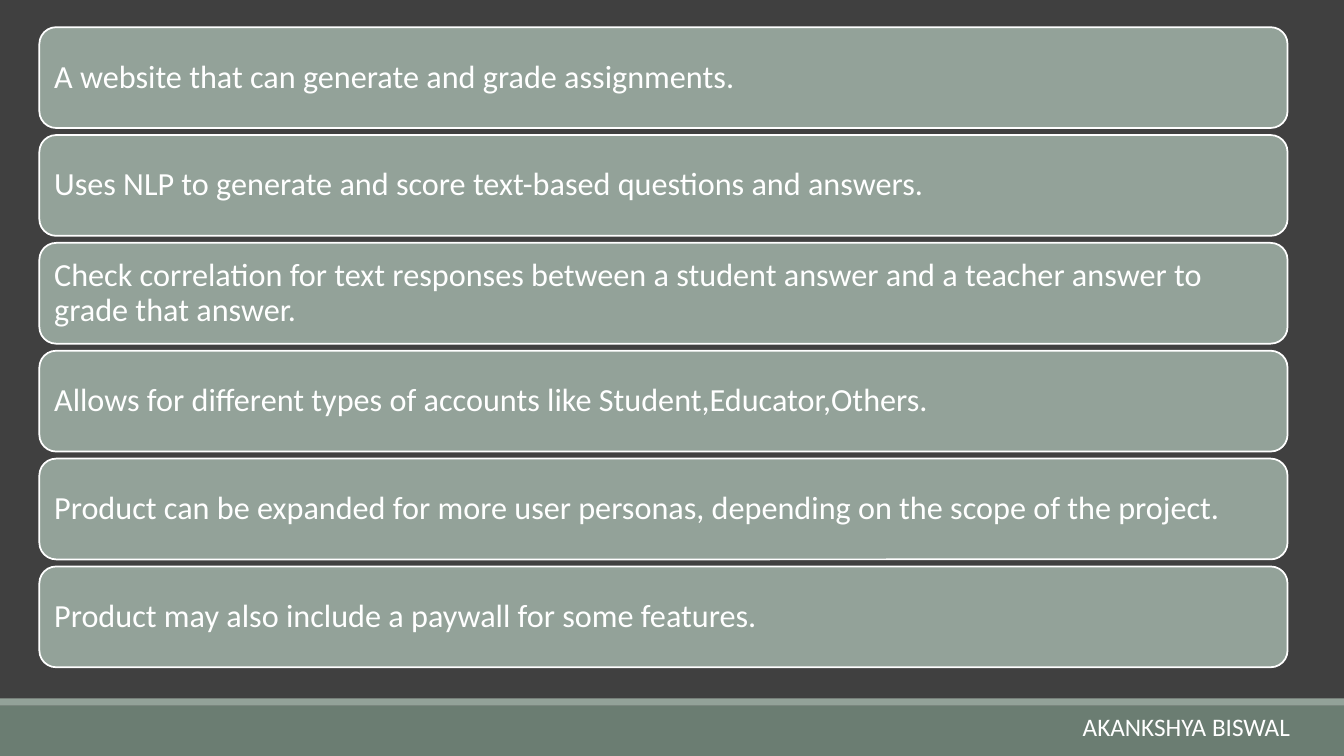
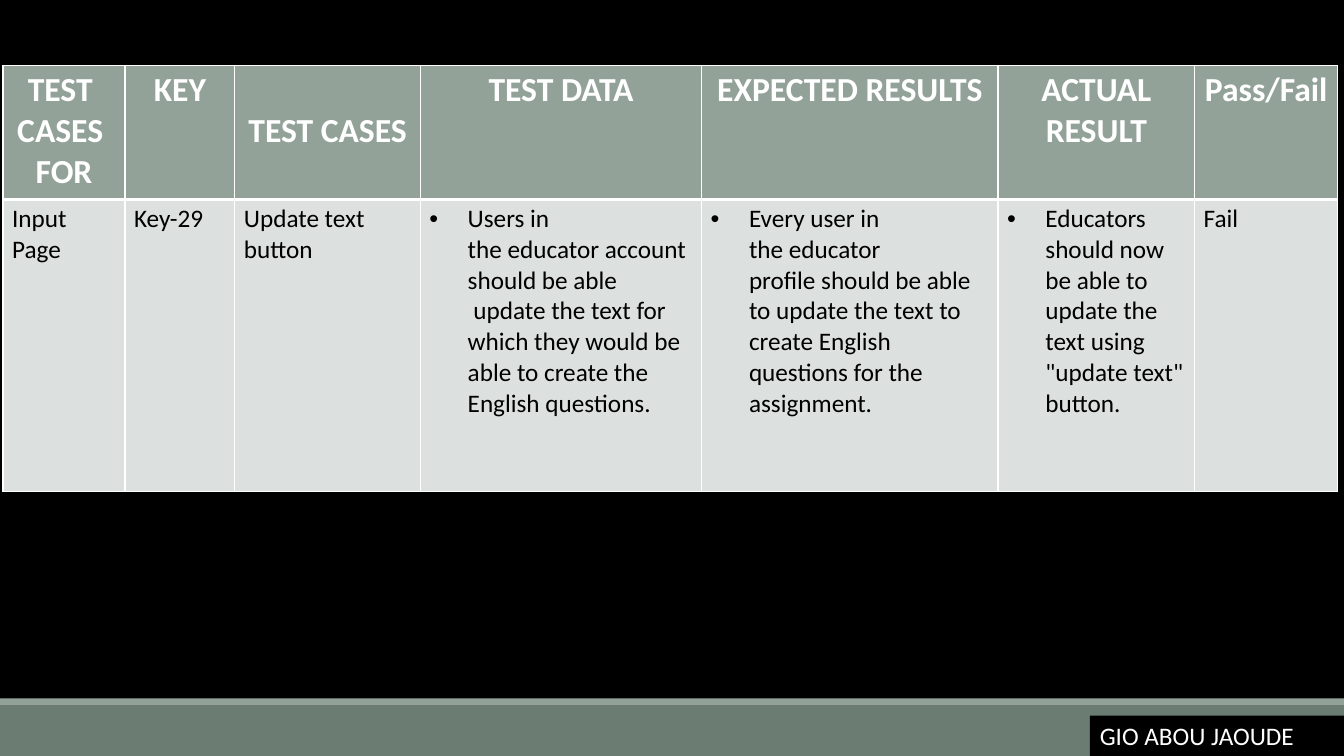
import pptx
import pptx.util
import pptx.dml.color
import pptx.enum.shapes
import pptx.enum.text
import pptx.oxml
import pptx.oxml.ns
from pptx.util import Inches

COLORS = {
    "charcoal": "404040",
    "black": "000000",
    "white": "FFFFFF",
    "band": "6B7D72",
    "sage": "93A299",
    "pale": "DCE0DE",
}
SHAPES = pptx.enum.shapes.MSO_SHAPE
ANCHOR = pptx.enum.text.MSO_ANCHOR
ALIGN = pptx.enum.text.PP_ALIGN
NAMESPACE = pptx.oxml.ns.nsdecls("a")
HARD_SPACE = chr(160)  # written as ~ in the table texts


def color(name):
    return pptx.dml.color.RGBColor.from_string(COLORS[name])


def style_text(para, size, color_name, bold=False, **paragraph_format):
    font_format = {"name": "Calibri", "size": pptx.util.Pt(size), "bold": bold}
    for key, value in font_format.items():
        setattr(para.font, key, value)
    para.font.color.rgb = color(color_name)
    for key, value in paragraph_format.items():
        setattr(para, key, value)


deck = pptx.Presentation()
deck.slide_width = Inches(13.33)
deck.slide_height = Inches(7.5)

# Shared background, footer bands and presenter name
presenters = [
    # background, name, left, top, height, name fill, line spacing
    ("charcoal", "AKANKSHYA BISWAL", 10.64, 7.04, 0.38, None, 0.9),
    ("black", "GIO ABOU JAOUDE", 10.81, 7.1, 0.4, "black", 1.0),
]
pages = []
for background, name, left, top, height, name_fill, spacing in presenters:
    page = deck.slides.add_slide(deck.slide_layouts[6])
    page.background.fill.solid()
    page.background.fill.fore_color.rgb = color(background)
    for band_top, band_height, band_color in [(7, 0.5, "band"), (6.93, 0.07, "sage")]:
        band = page.shapes.add_shape(
            SHAPES.RECTANGLE, 0, Inches(band_top), deck.slide_width, Inches(band_height))
        band.shadow.inherit = False
        band.fill.solid()
        band.fill.fore_color.rgb = color(band_color)
        band.line.fill.background()
    box = page.shapes.add_textbox(
        Inches(left), Inches(top), deck.slide_width - Inches(left), Inches(height))
    if name_fill:
        box.fill.solid()
        box.fill.fore_color.rgb = color(name_fill)
    box.text_frame.word_wrap = True
    box.text_frame.text = name
    style_text(box.text_frame.paragraphs[0], 18, "white", line_spacing=spacing)
    pages.append(page)
overview_page, test_page = pages

# Slide 1: product overview
features = [
    "A website that can generate and grade assignments.",
    "Uses NLP to generate and score text-based questions and answers.",
    "Check correlation for text responses between a student answer and a teacher answer to grade that answer.",
    "Allows for different types of accounts like Student,Educator,Others.",
    "Product can be expanded for more user personas, depending on the scope of the project.",
    "Product may also include a paywall for some features.",
]
CARD_PITCH = 1.07
for index, feature in enumerate(features):
    card = overview_page.shapes.add_shape(
        SHAPES.ROUNDED_RECTANGLE, Inches(0.39), Inches(0.27 + index * CARD_PITCH),
        Inches(12.38), Inches(1))
    card.shadow.inherit = False
    card.fill.solid()
    card.fill.fore_color.rgb = color("sage")
    card.line.color.rgb = color("white")
    card.line.width = pptx.util.Pt(1.25)
    frame = card.text_frame
    frame.word_wrap = True
    frame.vertical_anchor = ANCHOR.MIDDLE
    for side in ("left", "top", "right", "bottom"):
        setattr(frame, f"margin_{side}", Inches(0.1))
    frame.text = feature
    style_text(frame.paragraphs[0], 23, "white", alignment=ALIGN.LEFT, line_spacing=0.9)

# Slide 2: test case table
column_widths = [1.21, 1.09, 1.84, 2.79, 2.94, 1.95, 1.42]
row_heights = [1.33, 2.9]
bulleted_columns = (3, 4, 5)
rows = [
    ["TEST~\nCASES~\nFOR", "KEY", "~ TEST~CASES", "TEST DATA", "EXPECTED~RESULTS",
     "ACTUAL RESULT", "Pass/Fail"],
    ["Input Page", "Key-29", "Update text button",
     "Users in the~educator~account should~be able ~update the text for which they "
     "would be able to create the English questions.",
     "Every user in the~educator profile~should be able to update the text to create "
     "English questions for the assignment.",
     "Educators should now be able to update the text using \"update text\" button.",
     "Fail"],
]
table = test_page.shapes.add_table(
    len(rows), len(column_widths), Inches(0.03), Inches(0.65),
    Inches(sum(column_widths)), Inches(sum(row_heights))).table
for column, width in zip(table.columns, column_widths):
    column.width = Inches(width)
for row, height in zip(table.rows, row_heights):
    row.height = Inches(height)

for row_index, texts in enumerate(rows):
    is_header = row_index == 0
    heavy_side = "lnB" if is_header else "lnT"
    for column_index, text in enumerate(texts):
        cell = table.cell(row_index, column_index)
        cell.text = text.replace("~", HARD_SPACE)
        cell.margin_left = cell.margin_right = Inches(0.09)
        cell.margin_top = cell.margin_bottom = Inches(0.04)
        cell.fill.solid()
        cell.fill.fore_color.rgb = color("sage" if is_header else "pale")
        properties = cell._tc.get_or_add_tcPr()
        for position, side in enumerate(("lnL", "lnR", "lnT", "lnB")):
            width = pptx.util.Pt(3 if side == heavy_side else 1)
            properties.insert(position, pptx.oxml.parse_xml(
                f'<a:{side} {NAMESPACE} w="{width}"><a:solidFill>'
                f'<a:srgbClr val="{COLORS["white"]}"/></a:solidFill></a:{side}>'))
        for para in cell.text_frame.paragraphs:
            if is_header:
                style_text(para, 24, "white", bold=True, alignment=ALIGN.CENTER)
                continue
            if column_index in bulleted_columns:
                para_properties = para._p.get_or_add_pPr()
                para_properties.set("marL", str(Inches(0.38)))
                para_properties.set("indent", str(-Inches(0.38)))
                para_properties.append(pptx.oxml.parse_xml(
                    f'<a:buFont {NAMESPACE} typeface="Arial"/>'))
                para_properties.append(pptx.oxml.parse_xml(
                    f'<a:buChar {NAMESPACE} char="•"/>'))
            style_text(para, 18, "black")

deck.save("out.pptx")
